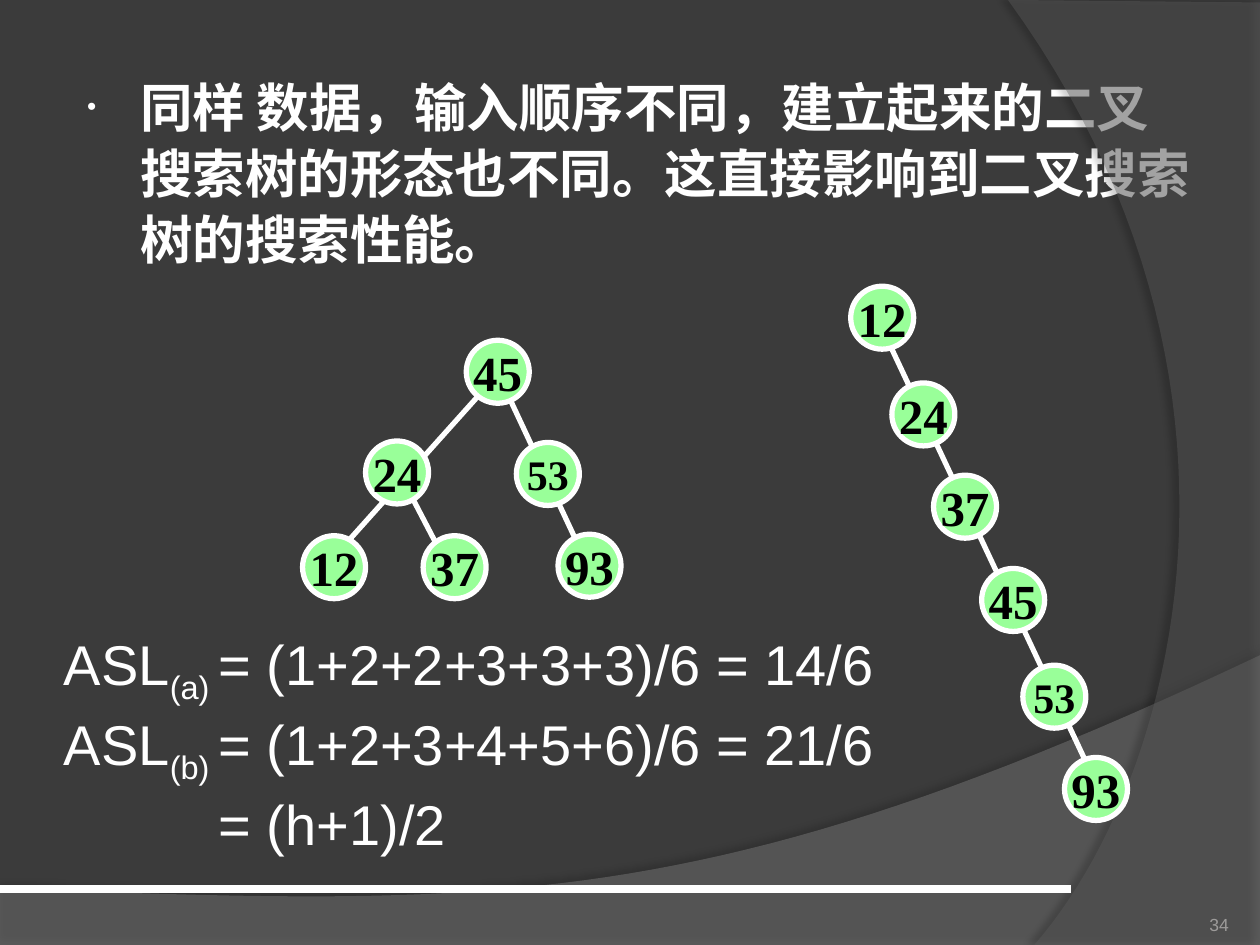
"""Builds a slide comparing two binary search trees made from the same data."""
from lxml.etree import SubElement
from pptx import Presentation
from pptx.dml.color import RGBColor
from pptx.enum.shapes import MSO_CONNECTOR as CONN, MSO_SHAPE as SHAPE
from pptx.enum.text import MSO_ANCHOR as ANCHOR, MSO_AUTO_SIZE as AUTO, PP_ALIGN as ALIGN
from pptx.oxml.ns import qn
from pptx.util import Cm, Pt

WHITE = RGBColor(0xFF, 0xFF, 0xFF)
BLACK = RGBColor(0x00, 0x00, 0x00)
GREEN = RGBColor(0x99, 0xFF, 0x99)
DARK = RGBColor(0x3B, 0x3B, 0x3B)
GRAY = RGBColor(0x7F, 0x7F, 0x7F)
MID_GRAY = RGBColor(0x5E, 0x5E, 0x5E)
PALE_GRAY = RGBColor(0x9D, 0x9B, 0x9A)
SERIF, SANS = "Times New Roman", "Arial"

EDGES = [
    (7.98, 9.4, 9.09, 11.53),
    (10.01, 7.47, 11.91, 11.53),
    (10.01, 7.57, 6.55, 11.43),
    (17.98, 7.04, 22.3, 16.23),
]
CHAIN = [
    (12, 17.15, 5.77), (24, 17.98, 7.72), (37, 18.82, 9.58),
    (45, 19.79, 11.46), (53, 20.62, 13.41), (93, 21.46, 15.27),
]
BALANCED = [
    (45, 9.4, 6.86), (53, 10.41, 8.92), (93, 11.25, 10.77),
    (12, 6.1, 10.8), (24, 7.37, 8.89), (37, 8.53, 10.8),
]


def add_run(p, text, size=32, font=SANS, color=WHITE, bold=False, sub=False):
    """Append a formatted run to a paragraph."""
    r = p.add_run()
    r.text = text
    r.font.size, r.font.name, r.font.bold = Pt(size), font, bold
    r.font.color.rgb = color
    if sub:
        r.font._element.set("baseline", "-25000")


def bezier(p0, p1, p2, p3, steps=48):
    """Return points along a cubic curve, without its start."""
    points = []
    for i in range(1, steps + 1):
        t = i / steps
        weights = ((1 - t) ** 3, 3 * t * (1 - t) ** 2, 3 * t * t * (1 - t), t ** 3)
        points.append(tuple(sum(w * c for w, c in zip(weights, axis))
                            for axis in zip(p0, p1, p2, p3)))
    return points


class Deck:
    """Holds the style and the current slide."""

    node_size, edge_width = 1.27, 3

    def __init__(self, prs):
        """Add a slide with a dark background and no title."""
        self.s = prs.slides.add_slide(prs.slide_layouts[1])
        self.s.background.fill.solid()
        self.s.background.fill.fore_color.rgb = DARK
        title = self.s.shapes.title._element
        title.getparent().remove(title)

    def wave(self, points, color, alpha, shadow_alpha, distance, angle):
        """Draw a translucent background area with a soft shadow."""
        start, *rest = [(Cm(x), Cm(y)) for x, y in points]
        builder = self.s.shapes.build_freeform(*start)
        builder.add_line_segments(rest, close=True)
        sp = builder.convert_to_shape()
        sp.fill.solid()
        sp.fill.fore_color.rgb = color
        sp.line.fill.background()
        sp.shadow.inherit = False
        pr = sp._element.spPr
        clr = pr.find(qn("a:solidFill"))[0]
        SubElement(clr, qn("a:alpha"), val=str(alpha * 1000))
        shadow = SubElement(pr.find(qn("a:effectLst")), qn("a:outerShdw"),
                            blurRad=str(Pt(4)), dist=str(Pt(distance)),
                            dir=str(angle * 60000), algn="ctr", rotWithShape="0")
        clr = SubElement(shadow, qn("a:srgbClr"), val=str(BLACK))
        SubElement(clr, qn("a:alpha"), val=str(shadow_alpha * 1000))

    def line(self, x1, y1, x2, y2, width=edge_width):
        """Draw a straight white line."""
        cn = self.s.shapes.add_connector(CONN.STRAIGHT, Cm(x1), Cm(y1), Cm(x2), Cm(y2))
        cn.line.color.rgb, cn.line.width = WHITE, Pt(width)
        SubElement(cn._element.spPr, qn("a:effectLst"))

    def node(self, key, x, y):
        """Draw a tree node with its key."""
        size = Cm(self.node_size)
        sp = self.s.shapes.add_shape(SHAPE.OVAL, Cm(x), Cm(y), size, size)
        sp.shadow.inherit = False
        sp.fill.solid()
        sp.fill.fore_color.rgb = GREEN
        sp.line.color.rgb, sp.line.width = WHITE, Pt(self.edge_width)
        tf = sp.text_frame
        tf.word_wrap, tf.vertical_anchor = False, ANCHOR.MIDDLE
        p = tf.paragraphs[0]
        p.alignment = ALIGN.CENTER
        add_run(p, str(key), 24 if key == 53 else 28, SERIF, BLACK, True)

    def body(self, text, x, y, w, h):
        """Fill the body placeholder with one bulleted paragraph."""
        sp = self.s.placeholders[1]
        sp.left, sp.top, sp.width, sp.height = Cm(x), Cm(y), Cm(w), Cm(h)
        tf = sp.text_frame
        tf.auto_size, tf.vertical_anchor = AUTO.NONE, ANCHOR.TOP
        p = tf.paragraphs[0]
        p.line_spacing, p.space_before = 1.05, Pt(0)
        pr = p._p.get_or_add_pPr()
        pr.set("marL", str(Cm(1.17)))
        pr.set("indent", str(Cm(-1.07)))
        SubElement(SubElement(pr, qn("a:buClr")), qn("a:srgbClr"), val=str(WHITE))
        SubElement(pr, qn("a:buSzPct"), val="50000")
        SubElement(pr, qn("a:buChar"), char="•")
        add_run(p, text, 30, SERIF, bold=True)

    def text_box(self, x, y, w, h):
        """Add a wrapping text box and return its text frame."""
        tf = self.s.shapes.add_textbox(Cm(x), Cm(y), Cm(w), Cm(h)).text_frame
        tf.word_wrap = True
        return tf

    def formulas(self, rows, x, y, w, h):
        """Write the search length formulas, aligned at the equals sign."""
        tf = self.text_box(x, y, w, h)
        for i, (label, formula) in enumerate(rows):
            p = tf.add_paragraph() if i else tf.paragraphs[0]
            if i:
                p.space_before = Pt(2)
            if label:
                add_run(p, "ASL")
                add_run(p, f"({label}) ", sub=True)
            else:
                p._p.get_or_add_pPr().set("marL", str(Cm(3.12)))
            add_run(p, formula)

    def page_number(self, text, x, y, w, h):
        """Write the page number at the lower right."""
        tf = self.text_box(x, y, w, h)
        tf.margin_left = tf.margin_top = tf.margin_right = tf.margin_bottom = 0
        tf.vertical_anchor = ANCHOR.BOTTOM
        p = tf.paragraphs[0]
        p.alignment = ALIGN.RIGHT
        add_run(p, text, 10, color=PALE_GRAY)


def main():
    """Build and save the slide."""
    prs = Presentation()
    prs.slide_width, prs.slide_height = Cm(25.4), Cm(19.05)
    deck = Deck(prs)
    bottom = bezier((25.4, 13.21), (14.2, 18.52), (9.93, 18.26), (0, 17.91))
    deck.wave([(0, 19.05), (25.4, 19.05), (25.4, 13.21), *bottom], GRAY, 45, 35, 3.5, 270)
    right = bezier((20.85, 19.05), (23.75, 15.72), (25.86, 7.62), (20.32, 0))
    deck.wave([(25.4, 0.05), (25.4, 19.05), (20.85, 19.05), *right], MID_GRAY, 40, 45, 4, 180)
    deck.line(0, 17.93, 21.59, 17.93, 4.5)
    deck.body("同样 数据，输入顺序不同，建立起来的二叉搜索树的形态也不同。"
              "这直接影响到二叉搜索树的搜索性能。", 1.4, 1.32, 22.86, 15.6)
    for edge in EDGES:
        deck.line(*edge)
    for node in CHAIN + BALANCED:
        deck.node(*node)
    deck.formulas([("a", "= (1+2+2+3+3+3)/6 = 14/6"),
                   ("b", "= (1+2+3+4+5+6)/6 = 21/6"),
                   ("", "= (h+1)/2")], 1.04, 12.57, 17.04, 4.37)
    deck.page_number("34", 22.66, 17.83, 2.11, 1.02)
    prs.save("out.pptx")


if __name__ == "__main__":
    main()
